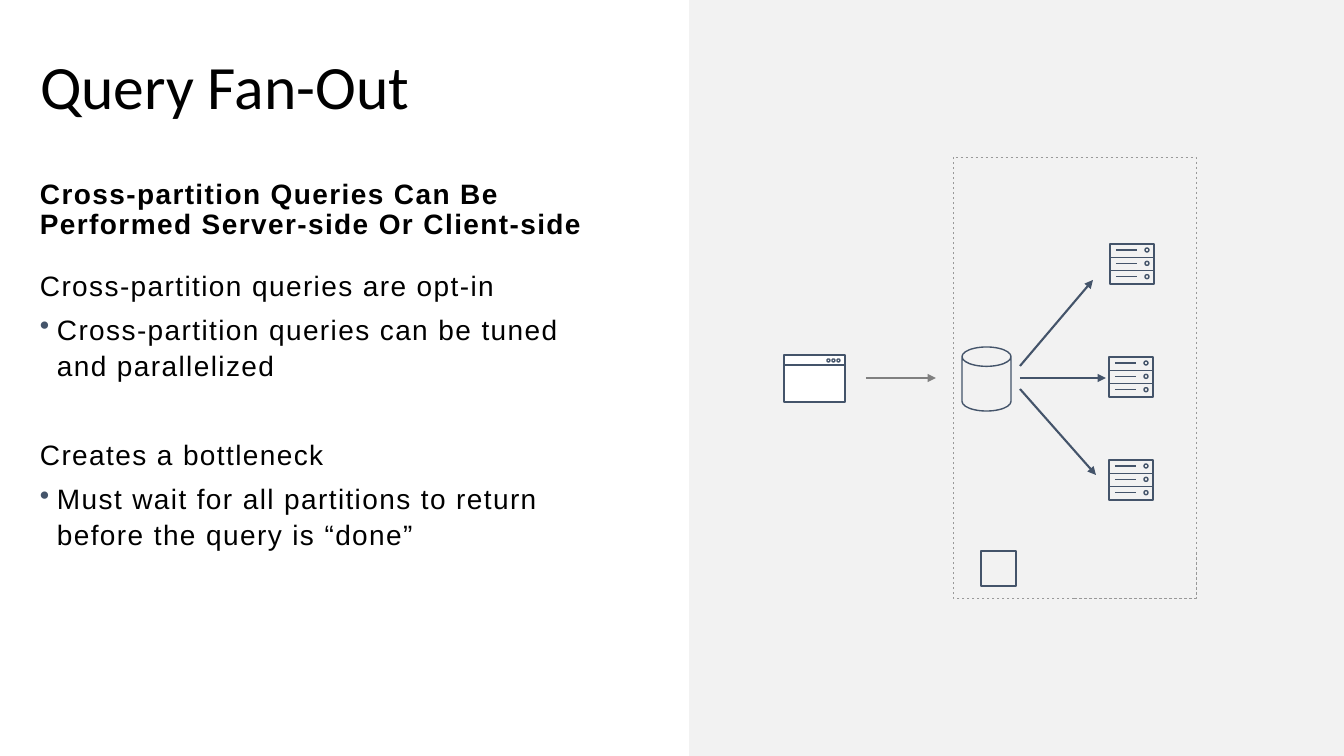
import lxml.etree
import pptx
import pptx.dml.color
import pptx.enum.dml
import pptx.enum.shapes
import pptx.enum.text
import pptx.oxml.ns
import pptx.util

PX = 914400 / 100.8
NAVY = "44546A"
BULLETED = "bulleted"
SHAPE = pptx.enum.shapes.MSO_SHAPE
BODY = [
    ("Cross-partition Queries Can Be Performed Server-side Or Client-side", "heading", 0),
    ("Cross-partition queries are opt-in", "plain", 0),
    ("Cross-partition queries can be tuned and parallelized", BULLETED, 0),
    ("Creates a bottleneck", "plain", 32),
    ("Must wait for all partitions to return before the query is “done”", BULLETED, 0),
]


def emu(*lengths):
    """Turn px lengths into EMU."""
    return [round(length * PX) for length in lengths]


def colour(code):
    """Turn a hex string into a colour."""
    return pptx.dml.color.RGBColor.from_string(code)


def element(parent, tag, **attributes):
    """Append a drawing element to an XML parent."""
    return lxml.etree.SubElement(parent, pptx.oxml.ns.qn(tag), attributes)


def draw(shapes, kind, box, fill=None, line=NAVY, width=1):
    """Add a preset shape in a px box with its fill and outline."""
    shape = shapes.add_shape(kind, *emu(*box))
    shape.shadow.inherit = False
    if fill:
        shape.fill.solid()
        shape.fill.fore_color.rgb = colour(fill)
    else:
        shape.fill.background()
    if line:
        shape.line.color.rgb = colour(line)
        shape.line.width = pptx.util.Pt(width)
    else:
        shape.line.fill.background()
    return shape


def connect(shapes, start, end, code=NAVY, width=1.0, arrow=False):
    """Add a straight line or arrow between two px points."""
    straight = pptx.enum.shapes.MSO_CONNECTOR.STRAIGHT
    connector = shapes.add_connector(straight, *emu(*start, *end))
    connector.line.color.rgb = colour(code)
    connector.line.width = pptx.util.Pt(width)
    if arrow:
        element(connector.line._get_or_add_ln(), "a:tailEnd", type="triangle")
    element(connector._element.spPr, "a:effectLst")


def set_font(paragraph, name, size, bold=False):
    """Set the black font of a paragraph."""
    paragraph.font.name = name
    paragraph.font.size = pptx.util.Pt(size)
    paragraph.font.bold = bold
    paragraph.font.color.rgb = colour("000000")


def add_title(page, box):
    """Place and format the title placeholder."""
    title = page.shapes.title
    title.left, title.top, title.width, title.height = emu(*box)
    title.text_frame.text = "Query Fan-Out"
    title.text_frame.auto_size = pptx.enum.text.MSO_AUTO_SIZE.NONE
    title.text_frame.vertical_anchor = pptx.enum.text.MSO_ANCHOR.MIDDLE
    para = title.text_frame.paragraphs[0]
    para.alignment = pptx.enum.text.PP_ALIGN.LEFT
    para.line_spacing = 0.9
    set_font(para, "Calibri", 44)


def add_body(page, box):
    """Write the heading, statements and bullets."""
    frame = page.shapes.add_textbox(*emu(*box)).text_frame
    frame.word_wrap = True
    for index, (text, kind, before) in enumerate(BODY):
        para = frame.add_paragraph() if index else frame.paragraphs[0]
        span = para.add_run()
        span.text = text
        span._r.get_or_add_rPr().set("spc", "100")
        heading = kind == "heading"
        para.line_spacing = 0.9 if heading else 1.07
        para.space_before = pptx.util.Pt(before)
        para.space_after = pptx.util.Pt(18 if heading else 6)
        if kind == BULLETED:
            properties = para._p.get_or_add_pPr()
            indent = emu(17)[0]
            properties.set("marL", str(indent))
            properties.set("indent", str(-indent))
            element(element(properties, "a:buClr"), "a:srgbClr", val=NAVY)
            element(properties, "a:buChar", char="•")
        set_font(para, "Arial", 20, heading)


def add_server(page, left, top, width=44, height=40):
    """Draw a stack of three server units."""
    shapes = page.shapes.add_group_shape().shapes
    for row in range(3):
        y = top + row * height / 3
        draw(shapes, SHAPE.RECTANGLE, (left, y, width, height / 3))
        draw(shapes, SHAPE.OVAL, (left + 35, y + 4, 4, 4))
        connect(shapes, (left + 6, y + 6), (left + 27, y + 6))


def add_window(page, left, top, width, height):
    """Draw the client application window."""
    shapes = page.shapes.add_group_shape().shapes
    draw(shapes, SHAPE.RECTANGLE, (left, top, width, height), fill="FFFFFF")
    connect(shapes, (left + width, top + 10), (left, top + 10))
    for button in range(3):
        draw(shapes, SHAPE.OVAL, (left + 43 + 5 * button, top + 4, 3, 3))


def add_diagram(page, left, top, width, height):
    """Draw the client, the database boundary and the fan-out to servers."""
    boundary = draw(page.shapes, SHAPE.RECTANGLE, (left, top, width, height),
                    line="999999", width=0.5)
    boundary.line.dash_style = pptx.enum.dml.MSO_LINE.DASH
    draw(page.shapes, SHAPE.RECTANGLE, (left + 28, top + 394, 35, 35))
    database = draw(page.shapes, SHAPE.CAN, (left + 9, top + 190, 49, 64))
    database.adjustments[0] = 0.395
    middle = top + 221
    connect(page.shapes, (left - 87, middle), (left - 17, middle), "808080", 1.5, True)
    for x, y in ((156, 200), (156, 303), (157, 87)):
        add_server(page, left + x, top + y)
    add_window(page, left - 169, top + 198, 61, 47)
    fan = page.shapes.add_group_shape().shapes
    for rise, x, y in ((0, 153, 0), (11, 143, 97), (-12, 140, -98)):
        connect(fan, (left + 67, middle + rise), (left + x, middle + y), NAVY, 1.5, True)


def main():
    """Build and save the deck."""
    deck = pptx.Presentation()
    deck.slide_width, deck.slide_height = emu(1344, 756)
    page = deck.slides.add_slide(deck.slide_layouts[5])
    draw(page.shapes, SHAPE.RECTANGLE, (689, 0, 655, 756), fill="F2F2F2", line=None)
    add_body(page, (30, 175, 592, 386))
    add_title(page, (30, 1, 581, 178))
    add_diagram(page, 953, 157, 243, 441)
    deck.save("out.pptx")


if __name__ == "__main__":
    main()
